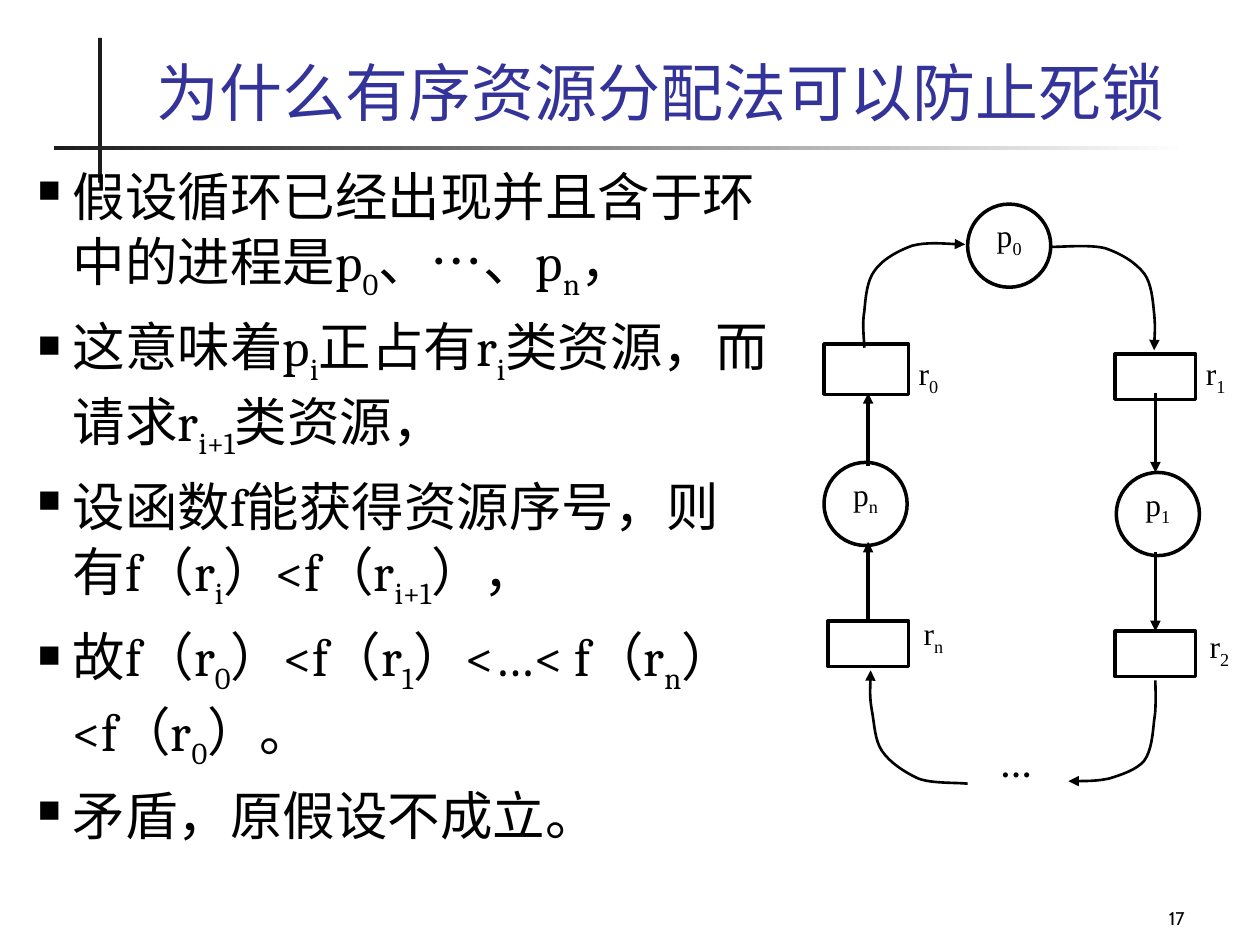
from typing import NamedTuple

from lxml import etree
from pptx import Presentation
from pptx import util as u
from pptx.dml.color import RGBColor
from pptx.enum import shapes as sh, text as tx
from pptx.oxml import ns

BLACK = RGBColor(0, 0, 0)
WHITE = RGBColor(255, 255, 255)
DARK = RGBColor(0x1C, 0x1C, 0x1C)
BLUE = RGBColor(0x33, 0x33, 0x99)
SERIF, ROMAN = "Cambria", "Times New Roman"
RECT, OVAL = sh.MSO_SHAPE.RECTANGLE, sh.MSO_SHAPE.OVAL
LEFT, MID = tx.PP_ALIGN.LEFT, tx.PP_ALIGN.CENTER
RIGHT, JUST = tx.PP_ALIGN.RIGHT, tx.PP_ALIGN.JUSTIFY
TOP, LOW = tx.MSO_ANCHOR.TOP, tx.MSO_ANCHOR.BOTTOM


class Box(NamedTuple):
    x: float
    y: float
    w: float
    h: float

    def emu(self) -> list:
        return [u.Inches(n) for n in self]


class Style(NamedTuple):
    size: float
    font: str = ROMAN
    color: RGBColor = BLACK
    bold: bool = False


class Node(NamedTuple):
    x: float
    y: float
    text: str


class Curve(NamedTuple):
    end: str
    pts: list


LABEL = Style(18)
BODY = Style(30, SERIF)

POINTS = [
    "假设循环已经出现并且含于环中的进程是p|_0|、|…|、p|_n|，",
    "这意味着p|_i|正占有r|_i|类资源，而请求r|_i+1|类资源，",
    "设函数f能获得资源序号，则有f（r|_i|）<f（r|_i+1|），",
    "故f（r|_0|）<f（r|_1|）<…< f（r|_n|）<f（r|_0|）。",
    "矛盾，原假设不成立。",
]
PROCS = [Node(6.54, 3.67, "p|_n"), Node(7.68, 1.62, "p|_0"), Node(8.86, 3.75, "p|_1")]
BLOCKS = [Box(6.54, 2.73, 0.67, 0.4), Box(8.85, 2.81, 0.64, 0.36),
          Box(6.57, 4.93, 0.64, 0.36), Box(8.85, 5.01, 0.64, 0.36)]
NAMES = [Node(9.57, 2.81, "r|_1"), Node(7.29, 2.81, "r|_0"),
         Node(7.33, 4.87, "r|_n"), Node(9.6, 4.98, "r|_2")]
ARROWS = [(9.17, 3.12, 3.75), (6.89, 3.7, 3.12), (6.89, 4.91, 4.3), (9.17, 4.38, 5.01)]
CURVES = [
    Curve("tailEnd", [
        (6.86, 2.76), (6.86, 2.71), (6.84, 2.57), (6.86, 2.47), (6.87, 2.36),
        (6.88, 2.23), (6.94, 2.15), (7, 2.06), (7.13, 1.99), (7.24, 1.95),
        (7.36, 1.92), (7.57, 1.94), (7.66, 1.94)]),
    Curve("headEnd", [
        (9.16, 2.78), (9.16, 2.73), (9.17, 2.59), (9.16, 2.49), (9.15, 2.39),
        (9.14, 2.25), (9.08, 2.17), (9.01, 2.08), (8.89, 2.01), (8.77, 1.97),
        (8.65, 1.94), (8.44, 1.96), (8.35, 1.96)]),
    Curve("tailEnd", [
        (9.17, 5.4), (9.17, 5.45), (9.18, 5.61), (9.16, 5.72), (9.15, 5.82),
        (9.14, 5.96), (9.08, 6.04), (9.02, 6.11), (8.9, 6.15), (8.8, 6.18),
        (8.7, 6.2), (8.55, 6.2), (8.48, 6.2)]),
    Curve("headEnd", [
        (6.91, 5.32), (6.91, 5.38), (6.9, 5.53), (6.92, 5.64), (6.94, 5.74),
        (6.94, 5.87), (7, 5.96), (7.06, 6.05), (7.18, 6.13), (7.29, 6.18),
        (7.4, 6.22), (7.59, 6.21), (7.68, 6.22)]),
]


def add(root, tag: str, **attrs: str):
    return etree.SubElement(root, ns.qn(tag), attrs)


def write(par, line: str, style: Style) -> None:
    for part in line.split("|"):
        run = par.add_run()
        run.text = part.removeprefix("_")
        run.font.size = u.Pt(style.size)
        run.font.name = ROMAN if part == "…" else style.font
        run.font.bold = style.bold
        run.font.color.rgb = style.color
        if part.startswith("_"):
            run.font._element.set("baseline", "-25000")


def frame(shape, anchor=TOP, pad: bool = False):
    body = shape.text_frame
    body.word_wrap = True
    body.vertical_anchor = anchor
    if not pad:
        body.margin_left = body.margin_right = 0
        body.margin_top = body.margin_bottom = 0
    return body


def label(slide, box: Box, line: str, style: Style = LABEL, align=JUST,
          anchor=TOP, pad: bool = False) -> None:
    par = frame(slide.shapes.add_textbox(*box.emu()), anchor, pad).paragraphs[0]
    par.alignment = align
    write(par, line, style)


def plain(slide, kind, box: Box, fill: RGBColor):
    shape = slide.shapes.add_shape(kind, *box.emu())
    shape.shadow.inherit = False
    shape.fill.solid()
    shape.fill.fore_color.rgb = fill
    shape.line.fill.background()
    return shape


def block(slide, kind, box: Box):
    shape = plain(slide, kind, box, WHITE)
    shape.line.color.rgb = BLACK
    shape.line.width = u.Pt(2)
    return shape


def tip(shape, width: float, end: str) -> None:
    shape.line.color.rgb = BLACK
    shape.line.width = u.Pt(width)
    add(shape.line._get_or_add_ln(), "a:" + end, type="triangle")


def arrow(slide, x: float, start: float, stop: float) -> None:
    ends = [u.Inches(n) for n in (x, start, x, stop)]
    line = slide.shapes.add_connector(sh.MSO_CONNECTOR.STRAIGHT, *ends)
    tip(line, 2, "tailEnd")
    add(line._element.spPr, "a:effectLst")


def bend(slide, curve: Curve) -> None:
    pts = [(u.Inches(x), u.Inches(y)) for x, y in curve.pts]
    pen = slide.shapes.build_freeform(*pts[0])
    pen.add_line_segments(pts[1:], close=False)
    shape = pen.convert_to_shape()
    shape.shadow.inherit = False
    shape.fill.background()
    tip(shape, 1.5, curve.end)
    steps = list(shape._element.iter(ns.qn("a:lnTo")))
    track = steps[0].getparent()
    for i in range(0, len(steps), 3):
        cubic = add(track, "a:cubicBezTo")
        for step in steps[i:i + 3]:
            cubic.append(step[0])
            track.remove(step)


def bullets(slide, box: Box) -> None:
    body = frame(slide.shapes.add_textbox(*box.emu()), pad=True)
    for i, line in enumerate(POINTS):
        par = body.add_paragraph() if i else body.paragraphs[0]
        par.line_spacing = 1.04
        if i:
            par.space_before = u.Pt(6)
        props = par._p.get_or_add_pPr()
        props.set("marL", str(u.Inches(0.28)))
        props.set("indent", str(-u.Inches(0.28)))
        add(add(props, "a:buClr"), "a:srgbClr", val=str(BLACK))
        add(props, "a:buSzPct", val="60000")
        add(props, "a:buChar", char="■")
        write(par, line, BODY)


def main() -> None:
    deck = Presentation()
    deck.slide_width, deck.slide_height = u.Inches(10), u.Inches(7.5)
    slide = deck.slides.add_slide(deck.slide_layouts[6])
    plain(slide, RECT, Box(0.78, 0.3, 0.03, 1.15), DARK)
    rule = plain(slide, RECT, Box(0.43, 1.16, 9, 0.03), DARK)
    rule.fill.gradient()
    rule.fill.gradient_angle = 0
    for stop, color in zip(rule.fill.gradient_stops, (DARK, WHITE)):
        stop.color.rgb = color
    label(slide, Box(1.14, 0.25, 8.59, 0.82), "为什么有序资源分配法可以防止死锁",
          Style(36, SERIF, BLUE), LEFT, LOW, True)
    bullets(slide, Box(0.2, 1.23, 6, 5.51))
    for node in PROCS:
        disc = block(slide, OVAL, Box(node.x, node.y, 0.66, 0.66))
        par = frame(disc).paragraphs[0]
        par.alignment = MID
        write(par, node.text, LABEL)
    for box in BLOCKS:
        block(slide, RECT, box)
    for node in NAMES:
        label(slide, Box(node.x, node.y, 0.28, 0.35), node.text)
    label(slide, Box(7.94, 5.92, 0.28, 0.35), "…", Style(18, bold=True))
    for ends in ARROWS:
        arrow(slide, *ends)
    for curve in CURVES:
        bend(slide, curve)
    label(slide, Box(7.42, 6.92, 2.08, 0.5), "17", Style(10.5, "Cabin"), RIGHT, LOW, True)
    deck.save("out.pptx")


if __name__ == "__main__":
    main()
